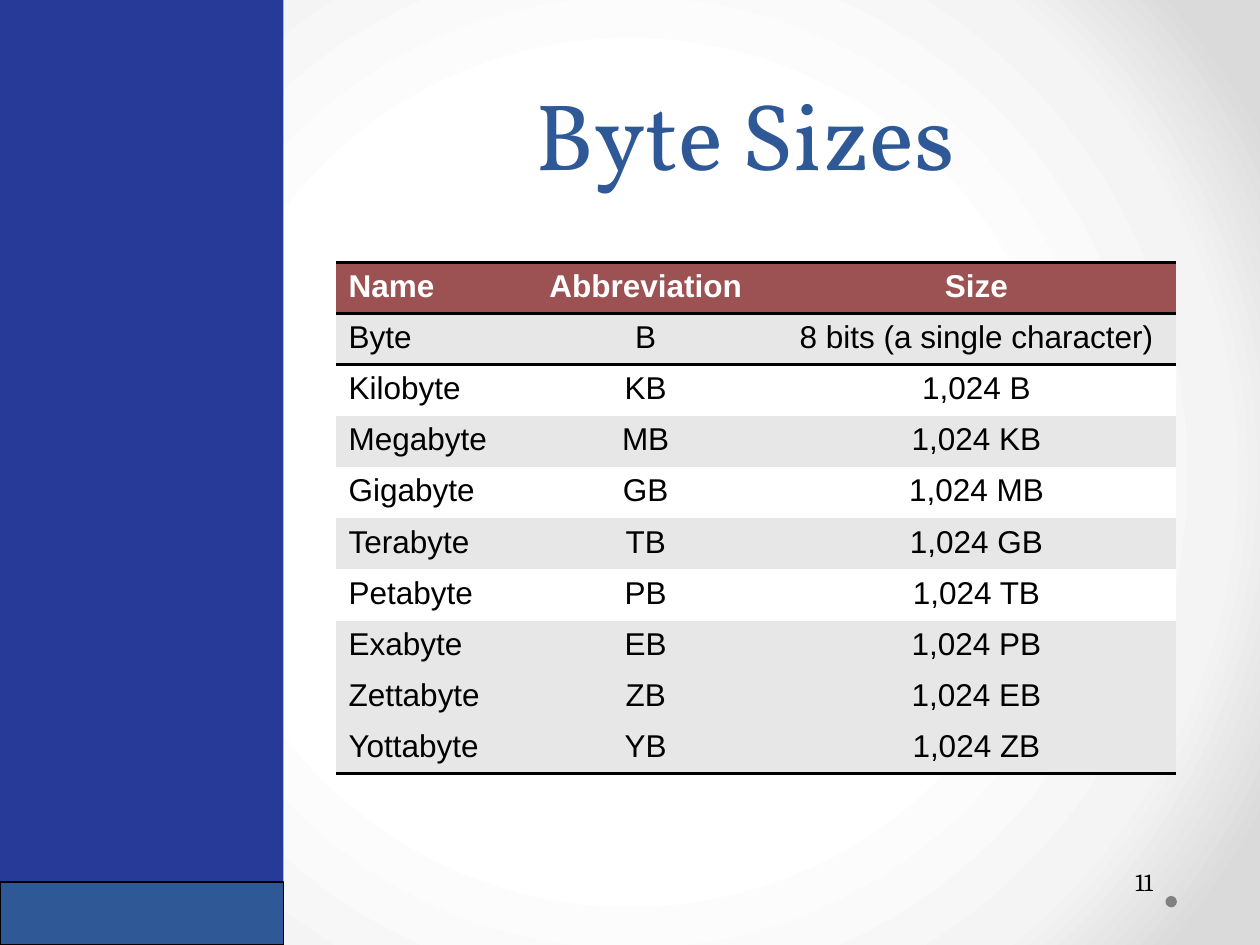
"""Build the byte sizes slide."""
from dataclasses import dataclass

from lxml.etree import fromstring
from pptx import Presentation
from pptx.dml.color import RGBColor
from pptx.enum.shapes import MSO_SHAPE
from pptx.enum.text import MSO_ANCHOR, PP_ALIGN
from pptx.oxml.ns import qn
from pptx.util import Pt

NS = 'xmlns:a="http://schemas.openxmlformats.org/drawingml/2006/main"'
PLAIN = "{2D5ABB26-0587-4C30-8999-92F81FD0307C}"


@dataclass(frozen=True)
class Theme:
    blue: str = "273A97"
    steel: str = "2F5897"
    red: str = "9C5252"
    band: str = "E7E7E7"
    grey: str = "808080"
    black: str = "000000"
    white: str = "FFFFFF"
    glow: tuple = ((50, "FFFFFF"), (76, "F4F4F4"), (92, "DADADA"))
    head: str = "Vollkorn"
    sans: str = "Arial"
    serif: str = "Cambria"
    big: int = 54
    mid: int = 18
    small: int = 14


def write(frame, text, font, size, color, bold=False, align=PP_ALIGN.LEFT, lead=None):
    para = frame.paragraphs[0]
    para.alignment = align
    if lead:
        para.line_spacing = Pt(lead)
    run = para.add_run()
    run.text = text
    run.font.name = font
    run.font.size = Pt(size)
    run.font.bold = bold
    run.font.color.rgb = RGBColor.from_string(color)


class Page:
    def __init__(self, deck, theme):
        self.theme = theme
        self.slide = deck.slides.add_slide(deck.slide_layouts[5])
        self.shapes = self.slide.shapes

    def glow(self):
        self.slide.background.fill.gradient()
        old = next(self.slide.element.iter(qn("a:gradFill")))
        stops = "".join(
            f'<a:gs pos="{pos * 1000}"><a:srgbClr val="{tone}"/></a:gs>'
            for pos, tone in self.theme.glow
        )
        mid = 'l="50000" t="50000" r="50000" b="50000"'
        new = fromstring(
            f'<a:gradFill {NS} rotWithShape="1"><a:gsLst>{stops}</a:gsLst>'
            f'<a:path path="circle"><a:fillToRect {mid}/></a:path></a:gradFill>'
        )
        old.getparent().replace(old, new)

    def shape(self, kind, box, fill, line=None):
        shape = self.shapes.add_shape(kind, *map(Pt, box))
        shape.shadow.inherit = False
        shape.fill.solid()
        shape.fill.fore_color.rgb = RGBColor.from_string(fill)
        if line:
            shape.line.color.rgb = RGBColor.from_string(line)
            shape.line.width = Pt(0.75)
        else:
            shape.line.fill.background()

    def title(self, text, box):
        title = self.shapes.title
        title.left, title.top, title.width, title.height = map(Pt, box)
        frame = title.text_frame
        frame.vertical_anchor = MSO_ANCHOR.BOTTOM
        look = self.theme
        write(frame, text, look.head, look.big, look.steel, align=PP_ALIGN.CENTER, lead=58)

    def note(self, text, box):
        frame = self.shapes.add_textbox(*map(Pt, box)).text_frame
        frame.word_wrap = True
        look = self.theme
        write(frame, text, look.serif, look.small, look.black, align=PP_ALIGN.RIGHT)

    def cell(self, cell, text, fill, color, bold, align, edges):
        for edge in edges:
            cell._tc.get_or_add_tcPr().append(fromstring(
                f'<a:{edge} {NS} w="{Pt(2)}"><a:solidFill>'
                f'<a:srgbClr val="{self.theme.black}"/></a:solidFill></a:{edge}>'
            ))
        cell.fill.solid()
        cell.fill.fore_color.rgb = RGBColor.from_string(fill)
        write(cell.text_frame, text, self.theme.sans, self.theme.mid, color, bold, align)

    def table(self, rows, spot, cols, high):
        look = self.theme
        size = sum(cols), high * len(rows)
        frame = self.shapes.add_table(len(rows), len(cols), *map(Pt, (*spot, *size)))
        table = frame.table
        table.horz_banding = False
        next(frame.element.iter(qn("a:tableStyleId"))).text = PLAIN
        for col, wide in zip(table.columns, cols):
            col.width = Pt(wide)
        last = len(rows) - 1
        for r, row in enumerate(rows):
            table.rows[r].height = Pt(high)
            top = r == 0
            fill = look.red if top else look.band if r % 2 or r == last - 1 else look.white
            edges = {0: ("lnT", "lnB"), 1: ("lnT",), last: ("lnB",)}.get(r, ())
            for c, text in enumerate(row):
                self.cell(
                    table.cell(r, c), text, fill,
                    color=look.white if top else look.black, bold=top,
                    align=PP_ALIGN.CENTER if c else PP_ALIGN.LEFT, edges=edges,
                )


def main():
    deck = Presentation()
    deck.slide_width, deck.slide_height = Pt(720), Pt(540)
    look = Theme()
    page = Page(deck, look)
    page.glow()
    page.shape(MSO_SHAPE.OVAL, (666, 512, 6.5, 6.5), look.grey)
    page.shape(MSO_SHAPE.RECTANGLE, (0, 0, 162, 540), look.blue)
    page.shape(MSO_SHAPE.RECTANGLE, (0, 504, 162, 36), look.steel, look.black)
    page.title("Byte Sizes", (168, 21.6, 516, 90))
    page.note("11", (606, 492, 60, 36))
    rows = [
        ("Name", "Abbreviation", "Size"),
        ("Byte", "B", "8 bits (a single character)"),
    ]
    names = "Kilo", "Mega", "Giga", "Tera", "Peta", "Exa", "Zetta", "Yotta"
    for name in names:
        rows.append((f"{name}byte", f"{name[0]}B", f"1,024 {rows[-1][1]}"))
    page.table(rows, (192, 150), (102, 150, 228), 29.25)
    deck.save("out.pptx")


if __name__ == "__main__":
    main()
